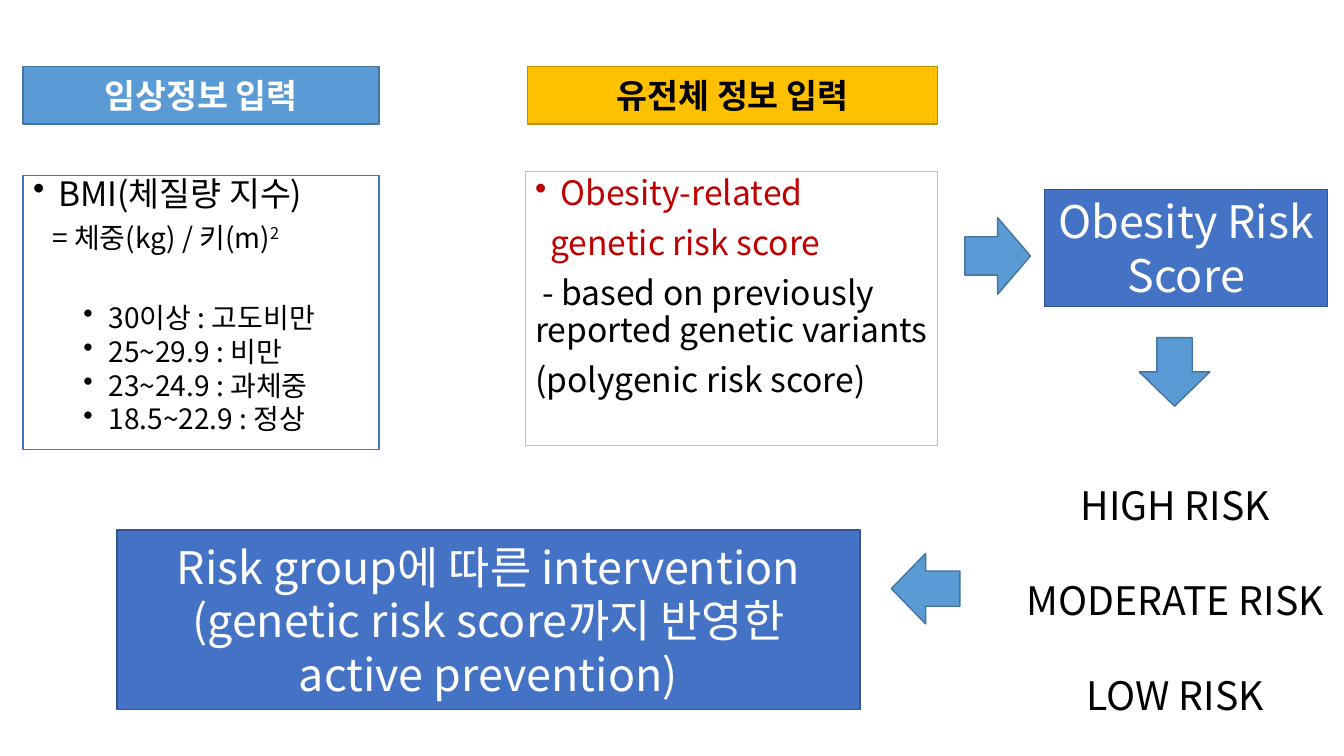
import pptx
import pptx.dml.color
import pptx.enum.shapes
import pptx.enum.text
import pptx.oxml.ns
import pptx.util
from lxml import etree
from pptx.util import Inches

FONT = "Noto Sans CJK KR"
BLUE, BLUE_EDGE = "4472C4", "325491"
SKY, SKY_EDGE = "5B9BD5", "43739E"
GOLD, GOLD_EDGE = "FFC000", "BD8E00"
WHITE, BLACK, RED = "FFFFFF", "000000", "C00000"
SHAPE = pptx.enum.shapes.MSO_SHAPE
ANCHOR = pptx.enum.text.MSO_ANCHOR
CENTER = pptx.enum.text.PP_ALIGN.CENTER
LEFT = pptx.enum.text.PP_ALIGN.LEFT


def rgb(value):
    """Turn a hex string into a colour."""
    return pptx.dml.color.RGBColor.from_string(value)


def style_run(run, size, color, bold=False):
    """Set the font of a run for Latin and Korean letters."""
    run.font.name = FONT
    run.font.size = pptx.util.Pt(size)
    run.font.bold = bold
    run.font.color.rgb = rgb(color)
    east_asian = etree.SubElement(run.font._element, pptx.oxml.ns.qn("a:ea"))
    east_asian.set("typeface", FONT)


def add_block(slide, preset, box, fill, edge):
    """Add a filled and outlined preset shape."""
    block = slide.shapes.add_shape(preset, *map(Inches, box))
    block.shadow.inherit = False
    block.fill.solid()
    block.fill.fore_color.rgb = rgb(fill)
    block.line.color.rgb = rgb(edge)
    block.line.width = pptx.util.Pt(1)
    return block


def write_centered(frame, text, size, color, bold=False, gap=0):
    """Write centred paragraphs, one for each line of the text."""
    frame.word_wrap = True
    frame.text = text
    for index, paragraph in enumerate(frame.paragraphs):
        paragraph.alignment = CENTER
        paragraph.space_before = pptx.util.Pt(gap if index else 0)
        for run in paragraph.runs:
            style_run(run, size, color, bold)


def add_label(slide, box, fill, edge, text, size, color=WHITE, bold=False):
    """Add a coloured rectangle with centred text."""
    label = add_block(slide, SHAPE.RECTANGLE, box, fill, edge)
    label.text_frame.vertical_anchor = ANCHOR.MIDDLE
    write_centered(label.text_frame, text, size, color, bold)


def set_indent(paragraph, margin, indent, bullet):
    """Set the left margin, first-line indent and bullet of a paragraph."""
    properties = paragraph._p.get_or_add_pPr()
    properties.set("marL", str(Inches(margin)))
    properties.set("indent", str(Inches(indent)))
    if bullet:
        mark = etree.SubElement(properties, pptx.oxml.ns.qn("a:buChar"))
        mark.set("char", "•")


def add_panel(slide, box, edge, spacing, items):
    """Add an outlined panel of (text, size, color, margin, indent, bullet, gap)."""
    panel = add_block(slide, SHAPE.RECTANGLE, box, WHITE, edge)
    frame = panel.text_frame
    frame.word_wrap = True
    frame.vertical_anchor = ANCHOR.TOP
    frame.text = "\n".join(item[0] for item in items)
    for paragraph, item in zip(frame.paragraphs, items):
        _, size, color, margin, indent, bullet, gap = item
        paragraph.alignment = LEFT
        paragraph.line_spacing = spacing
        paragraph.space_before = pptx.util.Pt(gap)
        set_indent(paragraph, margin, indent, bullet)
        style_run(paragraph.runs[0], size, color)
    return frame


def add_clinical_panel(slide):
    """Add the BMI formula and its classes."""
    classes = ["30이상 : 고도비만", "25~29.9 : 비만", "23~24.9 : 과체중", "18.5~22.9 : 정상"]
    items = [
        ("BMI(체질량 지수)", 24, BLACK, 0.25, -0.25, True, 0),
        ("= 체중(kg) / 키(m)", 20, BLACK, 0.19, 0, False, 10),
    ]
    items += [
        (text, 20, BLACK, 0.75, -0.25, True, 5 if index else 38)
        for index, text in enumerate(classes)
    ]
    frame = add_panel(slide, (0.23, 1.74, 3.53, 2.72), BLUE, 0.8, items)
    square = frame.paragraphs[1].add_run()
    square.text = "2"
    style_run(square, 20, BLACK)
    square.font._element.set("baseline", "30000")


def add_genetic_panel(slide):
    """Add the description of the genetic risk score."""
    add_panel(slide, (5.21, 1.7, 4.09, 2.72), GOLD, 0.9, [
        ("Obesity-related", 24, RED, 0.25, -0.25, True, 0),
        ("genetic risk score", 24, RED, 0.15, 0, False, 10),
        ("- based on previously reported genetic variants", 24, BLACK, 0, 0.07, False, 10),
        ("(polygenic risk score)", 24, BLACK, 0, 0, False, 10),
    ])


def add_risk_levels(slide):
    """Add the three risk levels."""
    levels = slide.shapes.add_textbox(*map(Inches, (9.57, 4.73, 4.17, 2.93)))
    write_centered(levels.text_frame, "HIGH RISK\nMODERATE RISK\nLOW RISK", 28, BLACK, gap=34)


def main():
    """Build the slide and save it."""
    deck = pptx.Presentation()
    deck.slide_width, deck.slide_height = Inches(13.33), Inches(7.5)
    slide = deck.slides.add_slide(deck.slide_layouts[6])
    add_label(slide, (0.23, 0.66, 3.53, 0.57), SKY, SKY_EDGE, "임상정보 입력", 24, bold=True)
    add_label(slide, (5.23, 0.66, 4.07, 0.57), GOLD, GOLD_EDGE, "유전체 정보 입력", 24, BLACK, True)
    add_label(slide, (10.36, 1.88, 2.81, 1.16), BLUE, BLUE_EDGE, "Obesity Risk\nScore", 32)
    add_clinical_panel(slide)
    add_genetic_panel(slide)
    add_block(slide, SHAPE.RIGHT_ARROW, (9.57, 2.16, 0.65, 0.76), SKY, SKY_EDGE)
    add_block(slide, SHAPE.DOWN_ARROW, (11.3, 3.35, 0.7, 0.68), SKY, SKY_EDGE)
    add_risk_levels(slide)
    to_intervention = add_block(slide, SHAPE.DOWN_ARROW, (8.83, 5.5, 0.7, 0.68), SKY, SKY_EDGE)
    to_intervention.rotation = 90
    intervention = "Risk group에 따른 intervention (genetic risk score까지 반영한 active prevention)"
    add_label(slide, (1.16, 5.26, 7.37, 1.78), BLUE, BLUE_EDGE, intervention, 32)
    deck.save("out.pptx")


if __name__ == "__main__":
    main()
